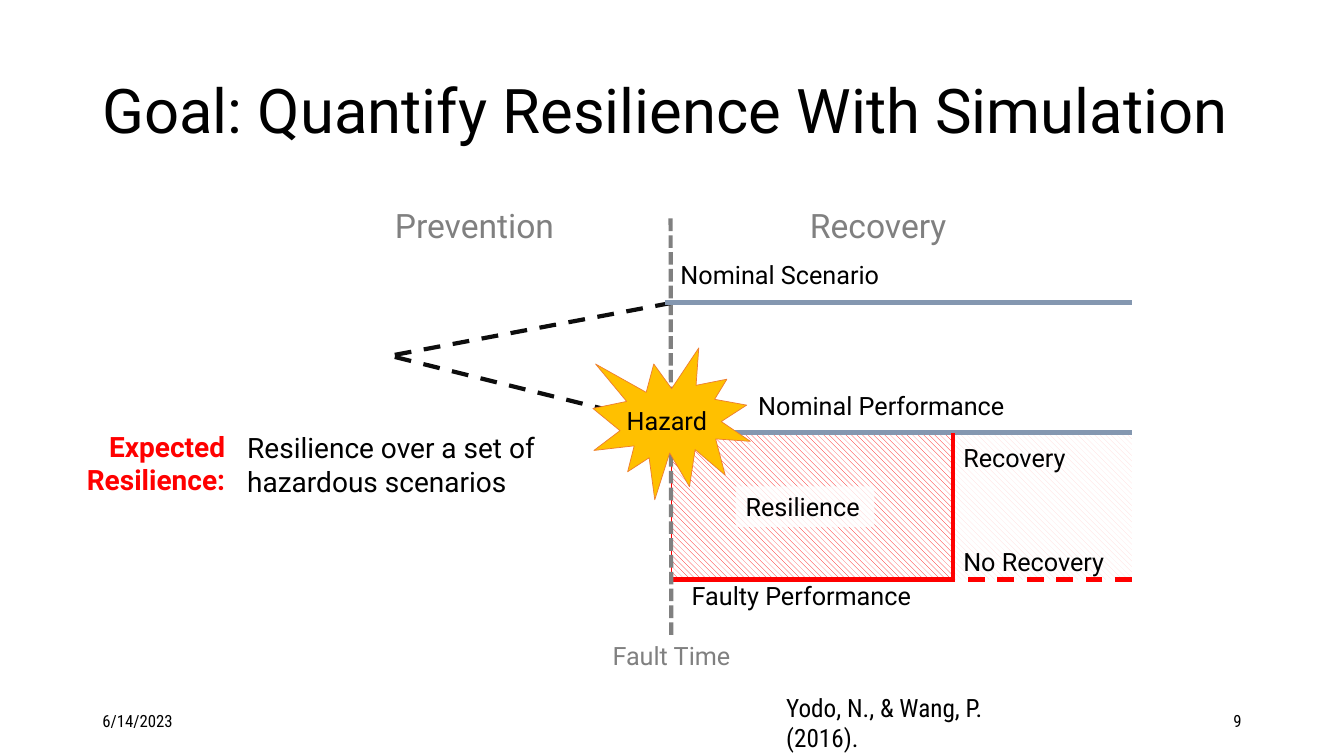
import dataclasses
import typing

import pptx
import pptx.dml.color
import pptx.enum.dml
import pptx.enum.shapes
import pptx.enum.text
import pptx.oxml
import pptx.oxml.ns
import pptx.util

Pt = pptx.util.Pt
Dash = pptx.enum.dml.MSO_LINE
Align = pptx.enum.text.PP_ALIGN
Anchor = pptx.enum.text.MSO_ANCHOR
Preset = pptx.enum.shapes.MSO_SHAPE

BLACK, GREY, RED = "000000", "808080", "FF0000"
STEEL, CHARCOAL, WHITE = "8497B0", "0D0D0D", "FFFFFF"
CONDENSED = "Roboto Condensed"

# Key positions of the diagram, in points
FORK_X, FAULT_X, RECOVERED_X, END_X = 282, 479.5, 681, 808.5
SCENARIO_Y, NOMINAL_Y, FAULTY_Y = 216, 309, 414


@dataclasses.dataclass(frozen=True)
class Line:
    start: tuple[float, float]
    end: tuple[float, float]
    color: str
    weight: float = 3
    dash: typing.Any = None


@dataclasses.dataclass(frozen=True)
class Hatch:
    left: float
    right: float
    color: str
    outline: str | None = None


@dataclasses.dataclass(frozen=True)
class Label:
    paragraphs: tuple[str, ...]
    left: float
    top: float
    width: float
    height: float = 29
    size: float = 18
    color: str = BLACK
    font: str = "Roboto"
    bold: bool = False
    align: typing.Any = Align.LEFT
    anchor: typing.Any = Anchor.TOP
    spacing: float = 1.0
    veiled: bool = False


HATCHES = (
    Hatch(RECOVERED_X, END_X, "FFD9D9"),
    Hatch(FAULT_X, RECOVERED_X, RED, outline="4472C4"),
)

LINES = (
    Line((FAULT_X, NOMINAL_Y), (FAULT_X, FAULTY_Y), RED, weight=1),
    Line((452, NOMINAL_Y), (END_X, NOMINAL_Y), STEEL),
    Line((FAULT_X, FAULTY_Y), (RECOVERED_X, FAULTY_Y), RED),
    Line((RECOVERED_X, FAULTY_Y), (RECOVERED_X, NOMINAL_Y), RED),
    Line((END_X, FAULTY_Y), (RECOVERED_X, FAULTY_Y), RED, dash=Dash.DASH),
    Line((FAULT_X, 453.5), (479, 155), GREY, dash=Dash.SQUARE_DOT),
    Line((FORK_X, 255), (479, 304), CHARCOAL, dash=Dash.DASH),
    Line((FORK_X, 253.5), (479, 216.5), CHARCOAL, dash=Dash.DASH),
    Line((475, SCENARIO_Y), (END_X, SCENARIO_Y), STEEL),
)

LABELS = (
    Label(("Goal: Quantify Resilience With Simulation",), 66, 29, 828, 104.5,
          size=44, anchor=Anchor.MIDDLE, spacing=0.9),
    Label(("Prevention",), 275, 142.5, 132.5, 36, size=24, color=GREY),
    Label(("Recovery",), 571.5, 142.5, 116, 36, size=24, color=GREY),
    Label(("Nominal Scenario",), 479, 182, 232),
    Label(("Nominal Performance",), 534.5, 275, 232),
    Label(("Hazard",), 440.5, 286, 78.5),
    Label(("Recovery",), RECOVERED_X, 312.5, 94.5),
    Label(("No Recovery",), RECOVERED_X, 386.5, 118),
    Label(("Resilience",), 525.5, 347.5, 99, veiled=True),
    Label(("Faulty Performance",), 487, 411, 175.5),
    Label(("Fault Time",), 430.5, 453.5, 99.5, color=GREY),
    Label(("Expected", "Resilience:"), 45.5, 303, 122.5, 55.5, size=20,
          color=RED, bold=True, align=Align.RIGHT, veiled=True),
    Label(("Resilience over a set of hazardous scenarios",), 169.5, 304, 241,
          55.5, size=20, veiled=True),
    Label(("Yodo, N., & Wang, P. (2016).",), 554.5, 491, 175, font=CONDENSED),
    Label(("6/14/2023",), 66, 500.5, 216, size=12, font=CONDENSED,
          anchor=Anchor.MIDDLE),
    Label(("9",), 678, 500.5, 216, size=12, font=CONDENSED,
          align=Align.RIGHT, anchor=Anchor.MIDDLE),
)


def rgb(color: str) -> pptx.dml.color.RGBColor:
    return pptx.dml.color.RGBColor.from_string(color)


def draw_hatch(shapes: typing.Any, hatch: Hatch) -> None:
    area = shapes.add_shape(
        Preset.RECTANGLE, Pt(hatch.left), Pt(NOMINAL_Y),
        Pt(hatch.right - hatch.left), Pt(FAULTY_Y - NOMINAL_Y))
    area.shadow.inherit = False
    area.fill.patterned()
    area.fill.pattern = pptx.enum.dml.MSO_PATTERN.WIDE_DOWNWARD_DIAGONAL
    area.fill.fore_color.rgb = rgb(hatch.color)
    area.fill.back_color.rgb = rgb(WHITE)
    if hatch.outline:
        area.line.color.rgb = rgb(hatch.outline)
        area.line.width = Pt(0.5)
    else:
        area.line.fill.background()


def draw_line(shapes: typing.Any, line: Line) -> None:
    connector = shapes.add_connector(
        pptx.enum.shapes.MSO_CONNECTOR.STRAIGHT,
        *map(Pt, line.start), *map(Pt, line.end))
    connector.line.color.rgb = rgb(line.color)
    connector.line.width = Pt(line.weight)
    if line.dash is not None:
        connector.line.dash_style = line.dash
    connector._element.spPr.append(
        pptx.oxml.parse_xml(f"<a:effectLst {pptx.oxml.ns.nsdecls('a')}/>"))


def draw_hazard_burst(shapes: typing.Any) -> None:
    burst = shapes.add_shape(
        Preset.EXPLOSION1, Pt(423.5), Pt(248.5), Pt(112.5), Pt(108.5))
    burst.shadow.inherit = False
    burst.fill.solid()
    burst.fill.fore_color.rgb = rgb("FFC000")
    burst.line.color.rgb = rgb("ED7D31")
    burst.line.width = Pt(0.5)


def veil(box: typing.Any) -> None:
    """Give the box a white fill that is 80 % opaque."""
    box.fill.solid()
    box.fill.fore_color.rgb = rgb(WHITE)
    white = box._element.spPr.find(".//" + pptx.oxml.ns.qn("a:srgbClr"))
    white.append(pptx.oxml.parse_xml(
        f"<a:alpha {pptx.oxml.ns.nsdecls('a')} val='80000'/>"))


def draw_label(shapes: typing.Any, label: Label) -> None:
    box = shapes.add_textbox(
        Pt(label.left), Pt(label.top), Pt(label.width), Pt(label.height))
    if label.veiled:
        veil(box)
    frame = box.text_frame
    frame.word_wrap = True
    frame.vertical_anchor = label.anchor
    for index, text in enumerate(label.paragraphs):
        paragraph = frame.add_paragraph() if index else frame.paragraphs[0]
        paragraph.alignment = label.align
        paragraph.line_spacing = label.spacing
        run = paragraph.add_run()
        run.text = text
        run.font.name = label.font
        run.font.size = Pt(label.size)
        run.font.bold = label.bold
        run.font.color.rgb = rgb(label.color)


def main() -> None:
    deck = pptx.Presentation()
    deck.slide_width, deck.slide_height = Pt(960), Pt(540)
    shapes = deck.slides.add_slide(deck.slide_layouts[6]).shapes
    for hatch in HATCHES:
        draw_hatch(shapes, hatch)
    for line in LINES:
        draw_line(shapes, line)
    draw_hazard_burst(shapes)
    for label in LABELS:
        draw_label(shapes, label)
    deck.save("out.pptx")


if __name__ == "__main__":
    main()
